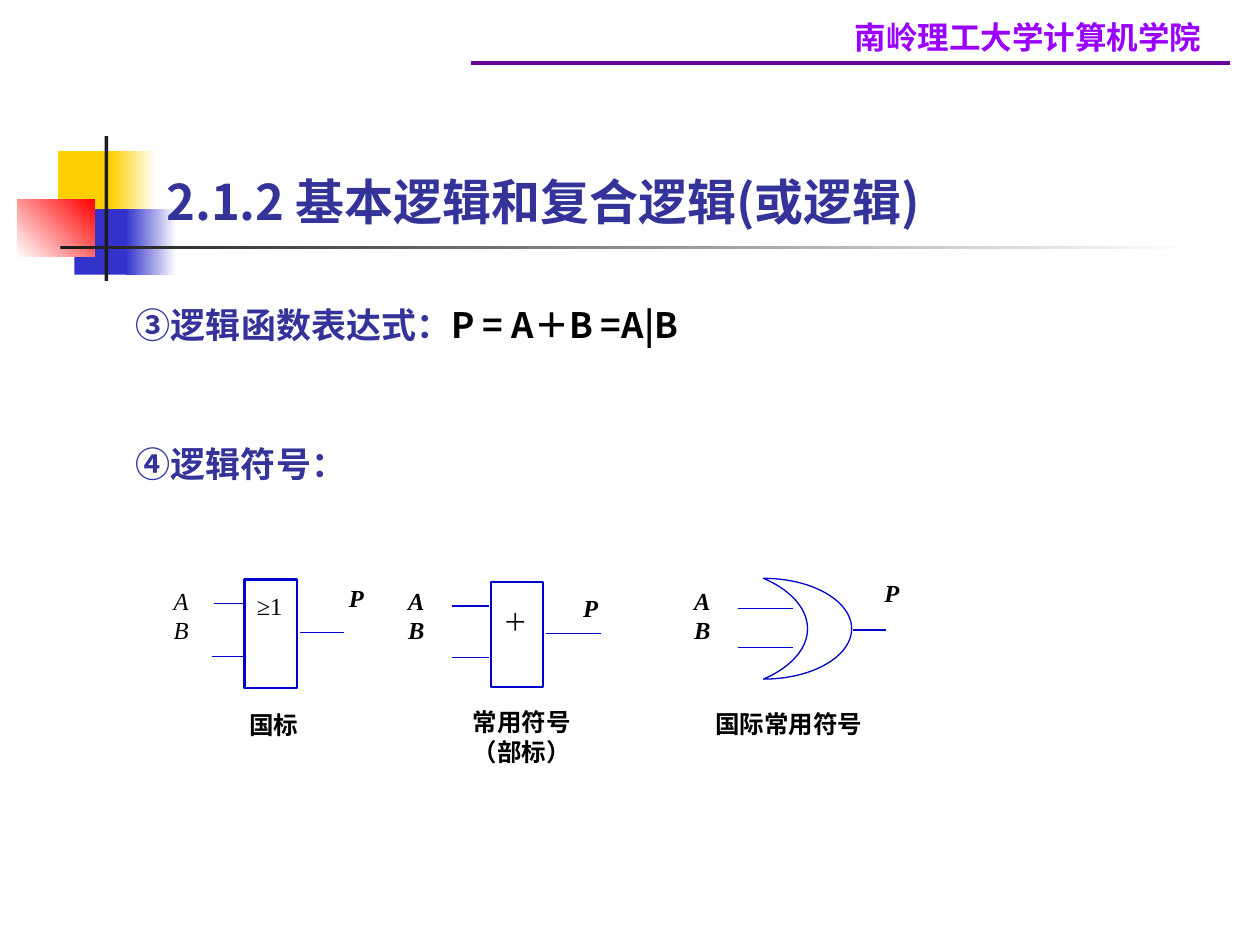
from dataclasses import dataclass

from lxml import etree
from pptx import Presentation
from pptx.dml.color import RGBColor
from pptx.enum.shapes import MSO_CONNECTOR, MSO_SHAPE
from pptx.enum.text import MSO_ANCHOR, MSO_AUTO_SIZE, PP_ALIGN
from pptx.oxml.ns import qn
from pptx.util import Inches, Pt

RECT, MOON = MSO_SHAPE.RECTANGLE, MSO_SHAPE.MOON
LEFT, CENTER, RIGHT = PP_ALIGN.LEFT, PP_ALIGN.CENTER, PP_ALIGN.RIGHT
TOP, MIDDLE = MSO_ANCHOR.TOP, MSO_ANCHOR.MIDDLE

WHITE = RGBColor(0xFF, 0xFF, 0xFF)
BLACK = RGBColor(0, 0, 0)
YELLOW = RGBColor(0xFF, 0xCF, 0x01)
BLUE = RGBColor(0x33, 0x33, 0xCC)
RED = RGBColor(0xFF, 0, 0)
CHARCOAL = RGBColor(0x1C, 0x1C, 0x1C)
INDIGO = RGBColor(0x33, 0x33, 0x99)
VIOLET = RGBColor(0x99, 0, 0xFF)
PURPLE = RGBColor(0x66, 0, 0x99)
GATE_BLUE = RGBColor(0, 0, 0xCC)

SANS, SERIF = "Noto Sans CJK SC", "Times New Roman"

Box = tuple[float, float, float, float]
Wire = tuple[float, float, float]  # start x, end x, y


@dataclass(frozen=True)
class Style:
    size: float
    font: str = SERIF
    color: RGBColor = BLACK
    bold: bool = True
    italic: bool = False


@dataclass(frozen=True)
class Block:
    box: Box
    fill: RGBColor
    fade_to: RGBColor | None = None
    angle: float = 0


@dataclass(frozen=True)
class Gate:
    body: Box
    outline: int
    line_width: float
    wires: tuple[Wire, ...]
    inputs: Box
    inputs_bold: bool
    output: Box
    caption: str
    caption_box: Box


BLOCKS = [
    Block((0.46, 1.2, 0.48, 0.52), YELLOW),
    Block((0.88, 1.2, 0.36, 0.52), YELLOW, WHITE),
    Block((0.59, 1.66, 0.46, 0.52), BLUE),
    Block((1, 1.66, 0.4, 0.52), BLUE, WHITE),
    Block((0.14, 1.58, 0.61, 0.46), WHITE, RED, 45),
    Block((0.83, 1.08, 0.03, 1.15), CHARCOAL),
    Block((0.48, 1.95, 9, 0.03), CHARCOAL, WHITE),
]

GATES = [
    Gate((1.94, 4.6, 0.42, 0.86), RECT, 1.25,
         ((1.7, 1.94, 4.79), (1.68, 1.94, 5.21), (2.38, 2.73, 5.02)),
         (1.28, 4.6, 0.52, 0.74), False, (2.67, 4.58, 0.52, 0.45),
         "国标", (1.74, 5.58, 0.87, 0.45)),
    Gate((3.9, 4.62, 0.41, 0.83), RECT, 1.25,
         ((3.59, 3.88, 4.81), (3.59, 3.88, 5.22), (4.33, 4.77, 5.03)),
         (3.14, 4.6, 0.55, 0.74), True, (4.53, 4.66, 0.52, 0.45),
         "常用符号\n（部标）", (3.28, 5.55, 1.72, 0.82)),
    Gate((6.06, 4.59, 0.7, 0.8), MOON, 0.75,
         ((5.86, 6.29, 4.83), (5.86, 6.29, 5.14), (6.77, 7.03, 5)),
         (5.41, 4.6, 0.52, 0.74), True, (6.92, 4.54, 0.52, 0.6),
         "国际常用符号", (5.52, 5.57, 1.48, 0.93)),
]


def inches(box: Box) -> list[int]:
    return [Inches(length) for length in box]


def style_run(run, style: Style) -> None:
    font = run.font
    font.size, font.name = Pt(style.size), style.font
    font.bold, font.italic = style.bold, style.italic
    font.color.rgb = style.color
    east_asian = etree.SubElement(run.font._element, qn("a:ea"))
    east_asian.set("typeface", SANS)


def set_up_frame(frame, anchor: int) -> None:
    frame.word_wrap = True
    frame.auto_size = MSO_AUTO_SIZE.NONE
    frame.vertical_anchor = anchor


def add_text(slide, box: Box, text: str, style: Style, align: int = LEFT,
             anchor: int = TOP, spacing: float = 1.0) -> None:
    frame = slide.shapes.add_textbox(*inches(box)).text_frame
    set_up_frame(frame, anchor)
    frame.text = text
    for paragraph in frame.paragraphs:
        paragraph.alignment, paragraph.line_spacing = align, spacing
        for run in paragraph.runs:
            style_run(run, style)


def add_heading(slide, box: Box, parts: list[tuple[str, Style]]) -> None:
    frame = slide.shapes.add_textbox(*inches(box)).text_frame
    set_up_frame(frame, TOP)
    frame.margin_top = 0
    for text, style in parts:
        run = frame.paragraphs[0].add_run()
        run.text = text
        style_run(run, style)


def add_line(slide, wire: Wire, color: RGBColor, width: float) -> None:
    start, end, y = inches(wire)
    line = slide.shapes.add_connector(MSO_CONNECTOR.STRAIGHT, start, y, end, y)
    line.line.color.rgb, line.line.width = color, Pt(width)
    etree.SubElement(line.element.spPr, qn("a:effectLst"))


def add_block(slide, block: Block) -> None:
    shape = slide.shapes.add_shape(RECT, *inches(block.box))
    shape.shadow.inherit = False
    shape.line.fill.background()
    if block.fade_to is None:
        shape.fill.solid()
        shape.fill.fore_color.rgb = block.fill
        return
    shape.fill.gradient()
    shape.fill.gradient_angle = block.angle
    for stop, color in zip(shape.fill.gradient_stops, (block.fill, block.fade_to)):
        stop.color.rgb = color


def add_gate(slide, gate: Gate) -> None:
    body = slide.shapes.add_shape(gate.outline, *inches(gate.body))
    body.shadow.inherit = False
    body.fill.background()
    body.line.color.rgb, body.line.width = GATE_BLUE, Pt(gate.line_width)
    if gate.outline == MOON:
        body.adjustments[0] = 0.5
        body.element.spPr.find(qn("a:xfrm")).set("flipH", "1")
    for wire in gate.wires:
        add_line(slide, wire, GATE_BLUE, 0.75)
    add_text(slide, gate.inputs, "A\nB", Style(14, bold=gate.inputs_bold, italic=True))
    add_text(slide, gate.output, "P", Style(14, italic=True))
    add_text(slide, gate.caption_box, gate.caption, Style(14), CENTER, spacing=1.04)


presentation = Presentation()
presentation.slide_width, presentation.slide_height = Inches(10), Inches(7.5)
slide = presentation.slides.add_slide(presentation.slide_layouts[5])

# Corner decoration and page header
for block in BLOCKS:
    add_block(slide, block)
add_line(slide, (3.74, 9.76, 0.5), PURPLE, 2.25)
add_text(slide, (3.2, 0.09, 6.49, 0.4), "南岭理工大学计算机学院 ",
         Style(18, SANS, VIOLET), RIGHT, MIDDLE)

# Numbered headings
number, label = Style(20, SERIF, INDIGO), Style(20, SANS, INDIGO)
add_heading(slide, (0.98, 2.41, 6.38, 0.44),
            [("③", number), ("逻辑函数表达式：", label),
             ("P = A＋B =A|B", Style(20, SANS))])
add_heading(slide, (0.98, 3.51, 3.34, 0.6), [("④", number), ("逻辑符号：", label)])

# OR gate symbols and the signs inside them
for gate in GATES:
    add_gate(slide, gate)
add_text(slide, (1.94, 4.58, 0.67, 0.54), "≥1", Style(14, bold=False), spacing=1.28)
add_text(slide, (3.8, 4.77, 0.58, 0.55), "＋", Style(14, SANS, bold=False), CENTER)

# Title, in front of the decoration
title = slide.shapes.title
title.left, title.top, title.width, title.height = inches((1.22, 1.31, 7.33, 0.57))
title.text_frame.text = "2.1.2 基本逻辑和复合逻辑(或逻辑) "
set_up_frame(title.text_frame, MIDDLE)
title.text_frame.paragraphs[0].alignment = LEFT
style_run(title.text_frame.paragraphs[0].runs[0], Style(28, SANS, INDIGO))
slide.shapes.element.append(title.element)

presentation.save("out.pptx")
